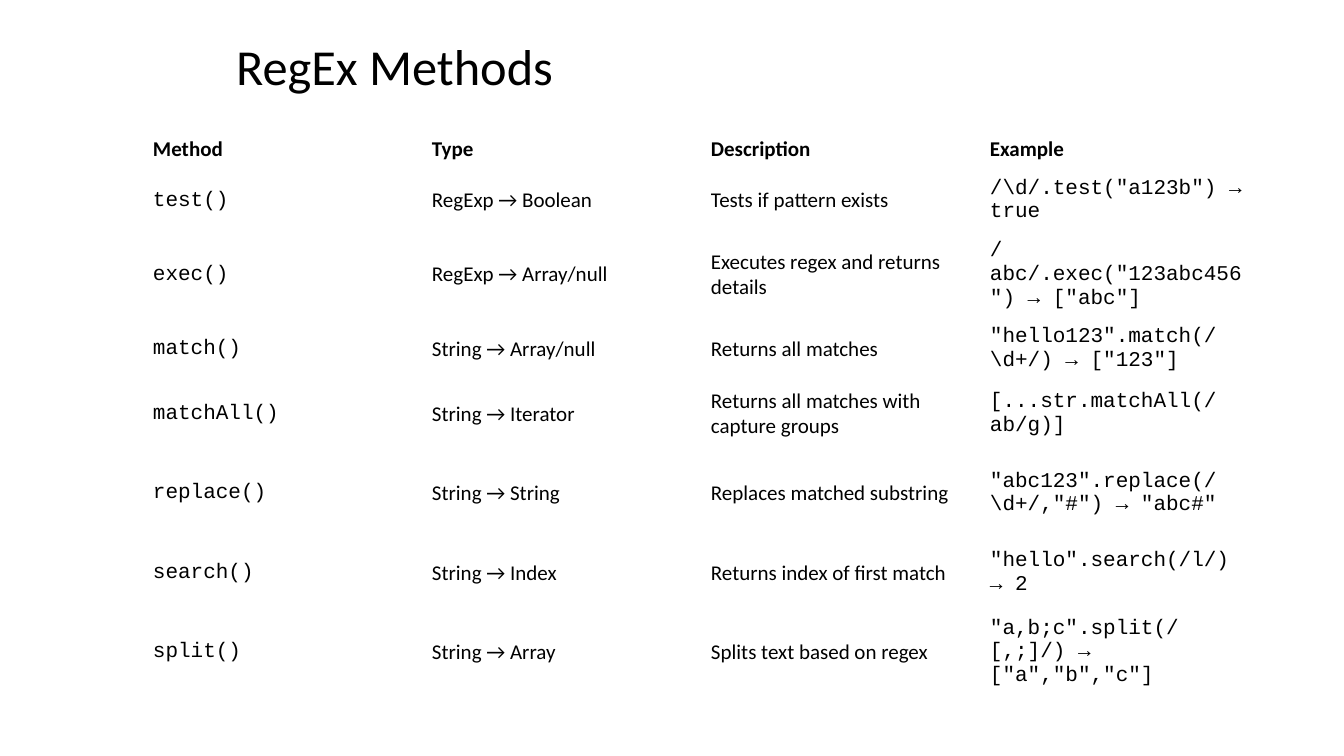
"""Build a slide with a table of RegEx methods."""
import pptx
import pptx.dml.color
import pptx.enum.text
import pptx.util

SCALE = 914400 / 100.8
THEME = {
    "ink": pptx.dml.color.RGBColor(0, 0, 0),
    "sans": "Calibri",
    "code": "Courier New",
    "title": 36,
    "cell": 15,
}
HEAD = ("Method", "Type", "Description", "Example")
ROWS = [
    ("test()", "RegExp → Boolean", "Tests if pattern exists",
     r'/\d/.test("a123b") → true'),
    ("exec()", "RegExp → Array/null", "Executes regex and returns details",
     '/abc/.exec("123abc456") → ["abc"]'),
    ("match()", "String → Array/null", "Returns all matches",
     r'"hello123".match(/\d+/) → ["123"]'),
    ("matchAll()", "String → Iterator", "Returns all matches with capture groups",
     "[...str.matchAll(/ab/g)]"),
    ("replace()", "String → String", "Replaces matched substring",
     r'"abc123".replace(/\d+/,"#") → "abc#"'),
    ("search()", "String → Index", "Returns index of first match",
     '"hello".search(/l/) → 2'),
    ("split()", "String → Array", "Splits text based on regex",
     '"a,b;c".split(/[,;]/) → ["a","b","c"]'),
]
HEIGHTS = (37, 65, 65, 65, 65, 94, 65, 94)
COL = 279


def px(size):
    return pptx.util.Emu(round(size * SCALE))


def write(frame, text, size=THEME["cell"], font=THEME["sans"], bold=False):
    para = frame.paragraphs[0]
    para.alignment = pptx.enum.text.PP_ALIGN.LEFT
    run = para.add_run()
    run.text = text
    run.font.size = pptx.util.Pt(size)
    run.font.name = font
    run.font.bold = bold
    run.font.color.rgb = THEME["ink"]


deck = pptx.Presentation()
deck.slide_width, deck.slide_height = px(1344), px(756)
slide = deck.slides.add_slide(deck.slide_layouts[5])

title = slide.shapes.title
title.left, title.top, title.width, title.height = px(226), px(29), px(672), px(72)
title.text_frame.auto_size = pptx.enum.text.MSO_AUTO_SIZE.SHAPE_TO_FIT_TEXT
write(title.text_frame, "RegEx Methods", size=THEME["title"])

table = slide.shapes.add_table(
    len(HEIGHTS), len(HEAD), px(145), px(131),
    px(COL * len(HEAD)), px(sum(HEIGHTS))).table
table.horz_banding = False
for col in table.columns:
    col.width = px(COL)

for r, (height, texts) in enumerate(zip(HEIGHTS, [HEAD] + ROWS)):
    table.rows[r].height = px(height)
    for c, text in enumerate(texts):
        cell = table.cell(r, c)
        cell.fill.background()
        cell.vertical_anchor = pptx.enum.text.MSO_ANCHOR.MIDDLE
        cell.margin_left = cell.margin_right = px(8)
        cell.margin_top = cell.margin_bottom = px(4)
        code = r > 0 and c in (0, 3)
        write(cell.text_frame, text, bold=r == 0,
              font=THEME["code" if code else "sans"])

deck.save("out.pptx")
